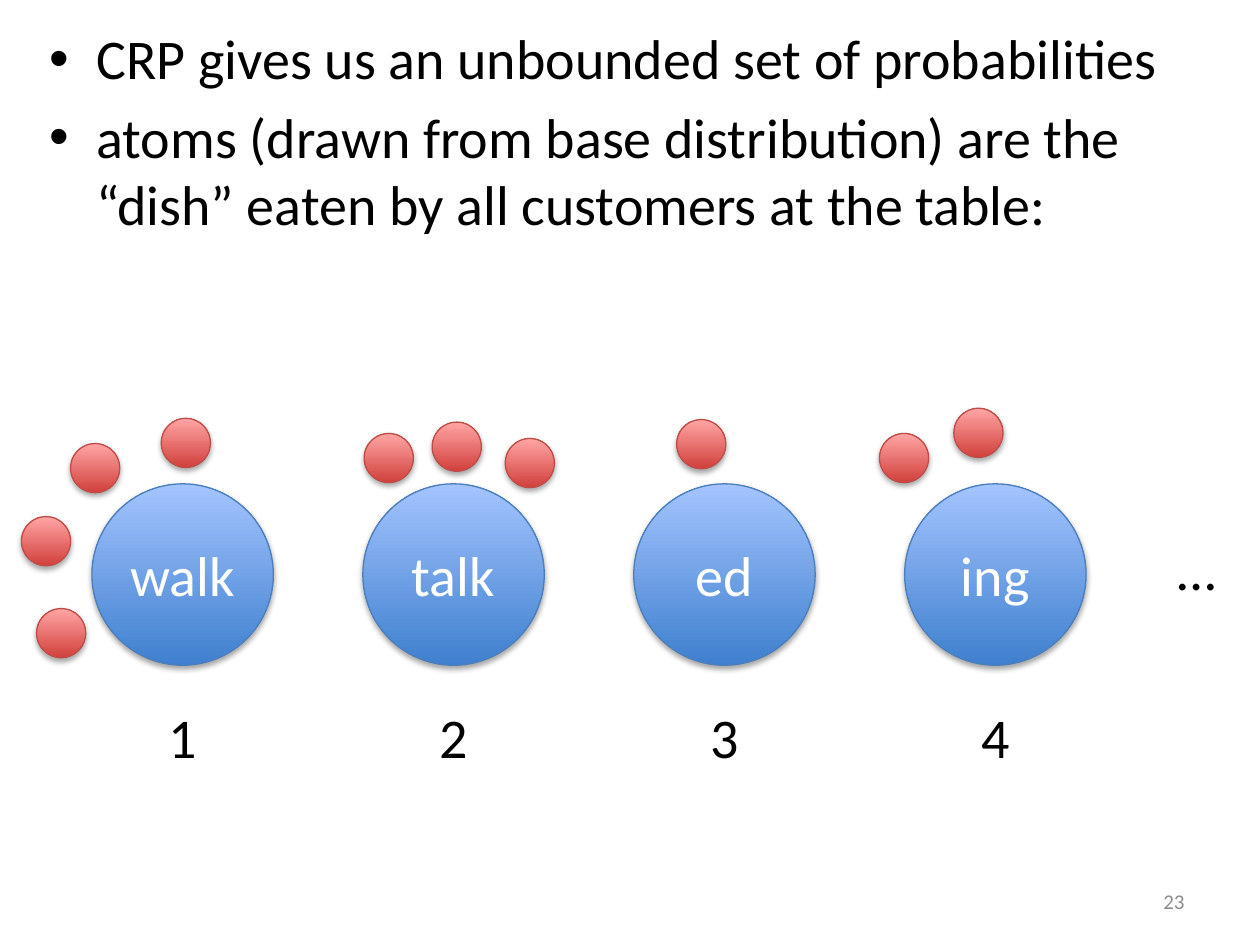
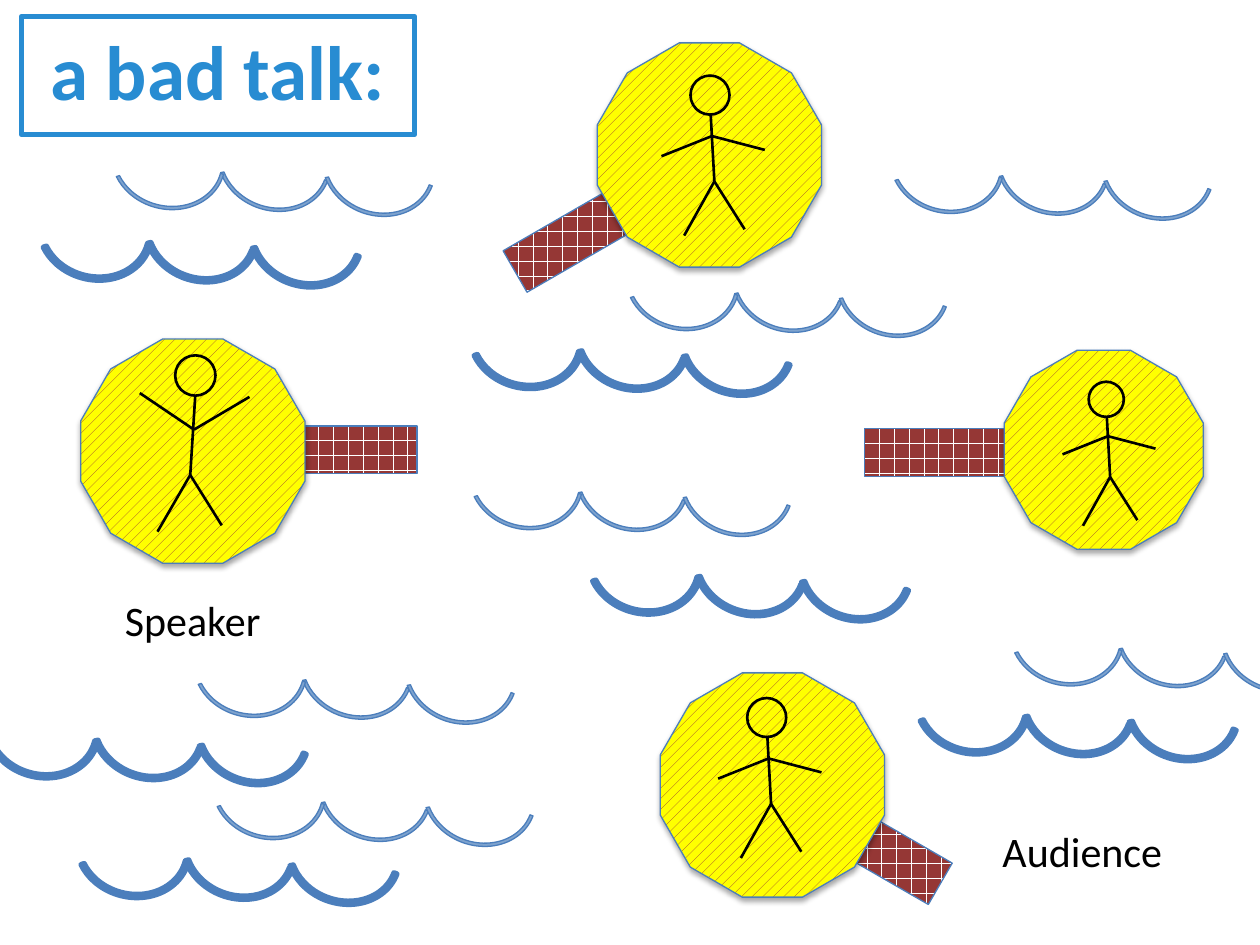
from lxml.etree import SubElement
from pptx import Presentation
from pptx.dml.color import RGBColor
from pptx.enum.dml import MSO_PATTERN
from pptx.enum.shapes import MSO_CONNECTOR, MSO_SHAPE
from pptx.enum.text import MSO_ANCHOR, PP_ALIGN
from pptx.oxml.ns import qn
from pptx.util import Inches, Pt

FONT = "Calibri"
COLORS = {
    "black": "000000", "white": "FFFFFF", "gray": "8C8C8C",
    "outline": "4B7EBC", "wave": "7EA3CE", "title": "288CD2",
    "table_low": "3F80CE", "table_high": "A4C4FF",
    "guest_low": "D1403C", "guest_high": "FFA6A5", "guest_line": "BF4C48",
    "island": "FFFF00", "brick": "953735",
}

TABLE_SIZE, GUEST_SIZE = 1.44, 0.39
TABLES = [  # dish, top left corner of each guest
    ("walk", [(0.56, 3.52), (1.28, 3.32), (0.17, 4.1), (0.29, 4.83)]),
    ("talk", [(2.89, 3.44), (3.43, 3.35), (4.01, 3.48)]),
    ("ed", [(5.37, 3.33)]),
    ("ing", [(7.57, 3.24), (6.98, 3.44)]),
]

# Top left corner of the middle arc of each wave
THICK_WAVES = [(1.44, 6.34), (4.56, 2.3), (0.72, 5.39), (8.1, 5.2),
               (5.5, 4.09), (1.14, 1.44)]
THIN_WAVES = [(1.72, 0.88), (2.52, 5.88), (7.9, 0.91), (4.56, 3.42),
              (2.37, 4.91), (8.85, 4.66), (5.8, 1.84)]
WAVE_ARCS = [(0, 0, 200.7), (0.83, 0.04, 200.7), (-0.84, -0.01, 195)]

PIERS = [(4.02, 1.71, 1.02, 330), (2.41, 3.38, 0.9, 0),
         (6.81, 6.65, 0.7, 30), (6.86, 3.4, 1.23, 0)]

# Joints measured from the top left corner of the head
SPEAKER = {"head": 0.32, "neck": (0.16, 0.32), "shoulder": (0.15, 0.59),
           "hip": (0.12, 0.95), "feet": [(-0.14, 1.4), (0.37, 1.35)],
           "hands": [(0.59, 0.33), (-0.28, 0.3)]}
LISTENER = {"head": 0.31, "neck": (0.16, 0.3), "shoulder": (0.17, 0.48),
            "hip": (0.19, 0.84), "feet": [(-0.05, 1.27), (0.43, 1.22)],
            "hands": [(0.59, 0.59), (-0.23, 0.64)]}
ISLANDS = [  # left, top, size, head position, pose, pose scale
    (0.64, 2.69, 1.78, (1.39, 2.82), SPEAKER, 1),
    (4.74, 0.34, 1.78, (5.48, 0.6), LISTENER, 1),
    (7.97, 2.78, 1.58, (8.64, 3.03), LISTENER, 0.9),
    (5.24, 5.34, 1.78, (5.93, 5.54), LISTENER, 1),
]


def rgb(name):
    return RGBColor.from_string(COLORS[name])


def style_text(tf, size, color, align=None, bold=None):
    for p in tf.paragraphs:
        if align is not None:
            p.alignment = align
        for r in p.runs:
            r.font.name, r.font.size, r.font.bold = FONT, Pt(size), bold
            r.font.color.rgb = rgb(color)


def place(shape, left, top, width, height):
    shape.left, shape.top = Inches(left), Inches(top)
    shape.width, shape.height = Inches(width), Inches(height)


def add_text(s, text, box, size, color="black", align=PP_ALIGN.CENTER):
    tf = s.shapes.add_textbox(*map(Inches, box)).text_frame
    tf.text = text
    tf.word_wrap = False
    tf.vertical_anchor = MSO_ANCHOR.MIDDLE
    style_text(tf, size, color, align)


def add_outlined(shapes, kind, box, line="outline", weight=0.75):
    sp = shapes.add_shape(kind, *map(Inches, box))
    sp.shadow.inherit = False
    sp.line.color.rgb = rgb(line)
    sp.line.width = Pt(weight)
    return sp


def add_shadow(sp):
    effects = sp._element.spPr.find(qn("a:effectLst"))
    shadow = SubElement(effects, qn("a:outerShdw"), blurRad="40000",
                        dist="23000", dir="5400000", rotWithShape="0")
    color = SubElement(shadow, qn("a:srgbClr"), val=COLORS["black"])
    SubElement(color, qn("a:alpha"), val="35000")


def set_pattern(sp, pattern, fore, back):
    sp.fill.patterned()
    sp.fill.pattern = pattern
    sp.fill.fore_color.rgb = rgb(fore)
    sp.fill.back_color.rgb = rgb(back)


def add_disc(s, left, top, size, low, high, line):
    sp = add_outlined(s.shapes, MSO_SHAPE.OVAL, (left, top, size, size), line)
    sp.fill.gradient()
    sp.fill.gradient_angle = 90
    for stop, color in zip(sp.fill.gradient_stops, (low, high)):
        stop.color.rgb = rgb(color)
    add_shadow(sp)
    return sp


def add_table_disc(s, left, top, dish):
    sp = add_disc(s, left, top, TABLE_SIZE, "table_low", "table_high", "outline")
    tf = sp.text_frame
    tf.text = dish
    tf.word_wrap = False
    tf.vertical_anchor = MSO_ANCHOR.MIDDLE
    style_text(tf, 32, "white", PP_ALIGN.CENTER)


def add_wave(s, x, y, weight):
    group = s.shapes.add_group_shape()
    for dx, dy, rotation in WAVE_ARCS:
        arc = add_outlined(group.shapes, MSO_SHAPE.BLOCK_ARC,
                           (x + dx, y + dy, 0.91, 0.79), weight=weight)
        for i, value in enumerate((108, 195.99, 0.033)):
            arc.adjustments[i] = value
        arc.rotation = rotation
        arc.fill.solid()
        arc.fill.fore_color.rgb = rgb("wave")


def add_pier(s, left, top, width, rotation):
    sp = add_outlined(s.shapes, MSO_SHAPE.RECTANGLE, (left, top, width, 0.38))
    sp.rotation = rotation
    set_pattern(sp, MSO_PATTERN.HORIZONTAL_BRICK, "white", "brick")


def add_limb(shapes, start, end):
    c = shapes.add_connector(MSO_CONNECTOR.STRAIGHT, *map(Inches, start + end))
    c.line.color.rgb = rgb("black")
    c.line.width = Pt(1.5)
    SubElement(c._element.spPr, qn("a:effectLst"))


def add_stick_figure(s, origin, pose, scale):
    def joint(offset):
        return tuple(o + scale * d for o, d in zip(origin, offset))

    shapes = s.shapes.add_group_shape().shapes
    size = pose["head"] * scale
    head = add_outlined(shapes, MSO_SHAPE.OVAL, (*origin, size, size), "black", 1.5)
    head.fill.background()
    limbs = [(pose["neck"], pose["hip"])]
    limbs += [(pose["hip"], foot) for foot in pose["feet"]]
    limbs += [(pose["shoulder"], hand) for hand in pose["hands"]]
    for start, end in limbs:
        add_limb(shapes, joint(start), joint(end))


def add_island(s, left, top, size, head, pose, scale):
    sp = add_outlined(s.shapes, MSO_SHAPE.DODECAGON, (left, top, size, size))
    set_pattern(sp, MSO_PATTERN.PERCENT_20, "brick", "island")
    add_shadow(sp)
    add_stick_figure(s, head, pose, scale)


def build_restaurant(prs):
    s = prs.slides.add_slide(prs.slide_layouts[1])
    title = s.shapes.title._element
    title.getparent().remove(title)
    body = s.placeholders[1]
    place(body, 0.29, 0.14, 9.32, 5.53)
    tf = body.text_frame
    tf.text = ("CRP gives us an unbounded set of probabilities\n"
               "atoms (drawn from base distribution) are the “dish” "
               "eaten by all customers at the table:")
    tf.paragraphs[0].space_before = Pt(0)
    style_text(tf, 32, "black")

    for i, (dish, guests) in enumerate(TABLES):
        left = 0.73 + 2.15 * i
        add_table_disc(s, left, 3.84, dish)
        add_text(s, str(i + 1), (left, 5.52, TABLE_SIZE, 0.64), 32)
        for x, y in guests:
            add_disc(s, x, y, GUEST_SIZE, "guest_low", "guest_high", "guest_line")
    add_text(s, "…", (9.24, 4.19, 0.51, 0.64), 32)
    add_text(s, "23", (7.17, 6.95, 2.33, 0.4), 12, "gray", PP_ALIGN.RIGHT)


def build_bad_talk(prs):
    s = prs.slides.add_slide(prs.slide_layouts[5])
    title = s.shapes.title
    place(title, 0.17, 0.13, 3.12, 0.94)
    title.fill.solid()
    title.fill.fore_color.rgb = rgb("white")
    title.line.color.rgb = rgb("title")
    title.line.width = Pt(3)
    tf = title.text_frame
    tf.text = "a bad talk:"
    tf.vertical_anchor = MSO_ANCHOR.MIDDLE
    tf.margin_left = tf.margin_right = Inches(0.2)
    tf.margin_top, tf.margin_bottom = Inches(0.05), Inches(0.15)
    style_text(tf, 44, "title", PP_ALIGN.CENTER, True)

    for waves, weight in ((THICK_WAVES, 3), (THIN_WAVES, 0.75)):
        for x, y in waves:
            add_wave(s, x, y, weight)
    for pier in PIERS:
        add_pier(s, *pier)
    for island in ISLANDS:
        add_island(s, *island)
    add_text(s, "Speaker", (0.88, 4.67, 1.3, 0.5), 24)
    add_text(s, "Audience", (7.85, 6.5, 1.48, 0.5), 24)


def main():
    prs = Presentation()
    prs.slide_width, prs.slide_height = Inches(10), Inches(7.5)
    build_restaurant(prs)
    build_bad_talk(prs)
    prs.save("out.pptx")


if __name__ == "__main__":
    main()
